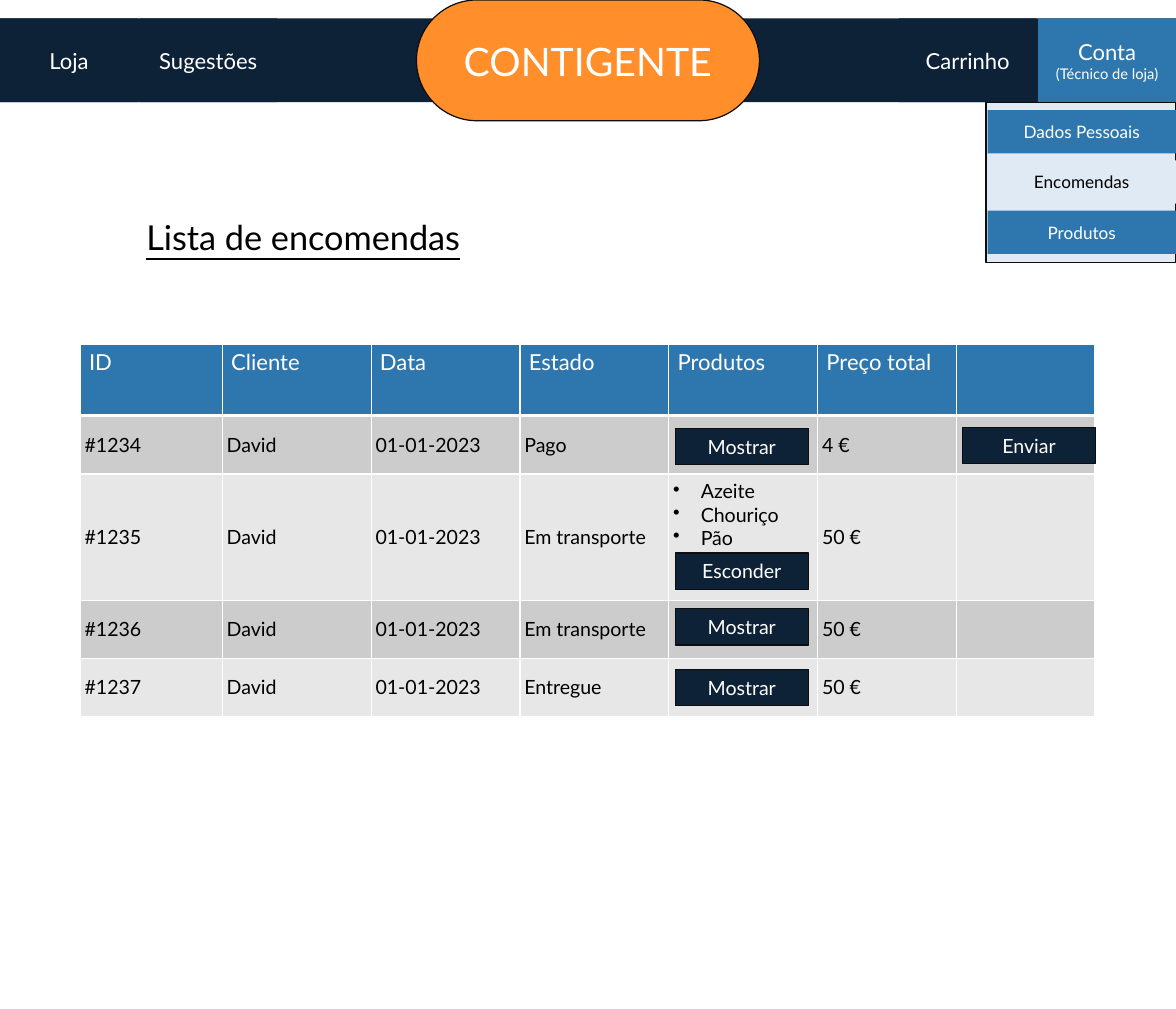
from lxml import etree
from pptx import Presentation
from pptx.dml.color import RGBColor
from pptx.enum.shapes import MSO_SHAPE
from pptx.enum.text import MSO_ANCHOR, PP_ALIGN
from pptx.oxml.ns import qn
from pptx.util import Pt

RECT, ROUNDED = MSO_SHAPE.RECTANGLE, MSO_SHAPE.ROUNDED_RECTANGLE
TOP, MIDDLE = MSO_ANCHOR.TOP, MSO_ANCHOR.MIDDLE
LEFT, CENTER, JUSTIFY = PP_ALIGN.LEFT, PP_ALIGN.CENTER, PP_ALIGN.JUSTIFY

FONT = "Lato"
COLORS = {
    "navy": "0D2137", "blue": "2E77AE", "orange": "FF8E2B", "pale": "E0EAF5",
    "outline": "0D0D0D", "white": "FFFFFF", "black": "000000",
    "band_dark": "CCCCCC", "band_light": "E7E7E7",
}
SLIDE_W, SLIDE_H = 960, 823.7

HEADERS = ["ID", "Cliente", "Data", "Estado", "Produtos", "Preço total", ""]
COLUMN_WIDTHS = [116, 121.5, 121.5, 121.5, 121.5, 113, 113]
PRODUCTS, ACTIONS = 4, 6
HEADER_H = 58.5
# Row height, cell texts, {column: (button label, offset from row top)}
ORDERS = [
    (47.5, ["#1234", "David", "01-01-2023", "Pago", "", "4 €", ""],
     {PRODUCTS: ("Mostrar", 10.5), ACTIONS: ("Enviar", 9.5)}),
    (103, ["#1235", "David", "01-01-2023", "Em transporte",
           ["Azeite", "Chouriço", "Pão"], "50 €", ""],
     {PRODUCTS: ("Esconder", 64.5)}),
    (47.5, ["#1236", "David", "01-01-2023", "Em transporte", "", "50 €", ""],
     {PRODUCTS: ("Mostrar", 7)}),
    (47.5, ["#1237", "David", "01-01-2023", "Entregue", "", "50 €", ""],
     {PRODUCTS: ("Mostrar", 9)}),
]


def rgb(name):
    return RGBColor.from_string(COLORS[name])


def write(frame, text, size=18, color="white", align=CENTER, anchor=MIDDLE,
          underline=False, bullet=False, note_size=None):
    """Write a string or a list of lines; note_size applies after the first."""
    frame.word_wrap = True
    frame.vertical_anchor = anchor
    for i, line in enumerate([text] if isinstance(text, str) else text):
        paragraph = frame.add_paragraph() if i else frame.paragraphs[0]
        paragraph.alignment = align
        if bullet:
            props = paragraph._p.get_or_add_pPr()
            props.set("marL", str(Pt(22.5)))
            props.set("indent", str(-Pt(22.5)))
            etree.SubElement(props, qn("a:buChar")).set("char", "•")
        run = paragraph.add_run()
        run.text = line
        font = run.font
        font.name, font.bold, font.underline = FONT, False, underline
        font.size = Pt(note_size if i and note_size else size)
        font.color.rgb = rgb(color)


def add_block(slide, x, y, w, h, fill, text="", outline=None, kind=RECT, **style):
    block = slide.shapes.add_shape(kind, Pt(x), Pt(y), Pt(w), Pt(h))
    block.shadow.inherit = False
    block.fill.solid()
    block.fill.fore_color.rgb = rgb(fill)
    if outline:
        block.line.color.rgb = rgb(outline)
        block.line.width = Pt(1)
    else:
        block.line.fill.background()
    if text:
        write(block.text_frame, text, **style)
    return block


def add_navigation(slide, x, y, w, h):
    add_block(slide, x, y, w, h, "navy")
    # Store name, standing out above and below the bar
    name = add_block(slide, x + (w - 280) / 2, y - 15, 280, 98.6, "orange",
                     "CONTIGENTE", "outline", ROUNDED, size=32)
    name.adjustments[0] = 0.5
    # Two tabs at each end
    tab_w, step = 112.5, 113.75
    last = x + w - tab_w
    add_block(slide, last, y, tab_w, h, "blue",
              ["Conta", "(Técnico de loja)"], note_size=12)
    for left, label in [(last - step, "Carrinho"), (x, "Loja"), (x + step, "Sugestões")]:
        add_block(slide, left, y, tab_w, h, "navy", label)


def add_account_menu(slide, x, y, w, h):
    add_block(slide, x, y, w, h, "pale", outline="outline")
    entries = [("Dados Pessoais", "blue", "white"), ("Encomendas", "pale", "black"),
               ("Produtos", "blue", "white")]
    for i, (label, fill, color) in enumerate(entries):
        add_block(slide, x + 1.2, y + 6.5 + 41 * i, w - 1.2, 35.3, fill, label,
                  size=14, color=color)


def add_heading(slide, x, y, w, h):
    heading = slide.shapes.add_textbox(Pt(x), Pt(y), Pt(w), Pt(h))
    write(heading.text_frame, "Lista de encomendas", size=28, color="black",
          align=JUSTIFY, anchor=TOP, underline=True)


def style_cell(cell, fill, top=1, bottom=1):
    props = cell._tc.get_or_add_tcPr()
    for side, width in [("L", 1), ("R", 1), ("T", top), ("B", bottom)]:
        line = etree.SubElement(props, qn(f"a:ln{side}"), w=str(Pt(width)))
        paint = etree.SubElement(line, qn("a:solidFill"))
        etree.SubElement(paint, qn("a:srgbClr"), val=COLORS["white"])
    cell.fill.solid()
    cell.fill.fore_color.rgb = rgb(fill)


def add_orders(slide, x, y):
    heights = [HEADER_H] + [order[0] for order in ORDERS]
    table = slide.shapes.add_table(
        len(heights), len(HEADERS), Pt(x), Pt(y),
        Pt(sum(COLUMN_WIDTHS)), Pt(sum(heights))).table
    for column, width in zip(table.columns, COLUMN_WIDTHS):
        column.width = Pt(width)
    for row, height in zip(table.rows, heights):
        row.height = Pt(height)

    for c, header in enumerate(HEADERS):
        cell = table.cell(0, c)
        style_cell(cell, "blue", bottom=3)
        if header:
            write(cell.text_frame, header, align=LEFT, anchor=TOP)

    row_top = y + HEADER_H
    for r, (height, texts, buttons) in enumerate(ORDERS, 1):
        for c, text in enumerate(texts):
            cell = table.cell(r, c)
            style_cell(cell, "band_dark" if r % 2 else "band_light",
                       top=3 if r == 1 else 1)
            cell.margin_left = cell.margin_right = Pt(3.6)
            cell.margin_top = cell.margin_bottom = Pt(3.6)
            cell.vertical_anchor = MIDDLE
            if text:
                listed = isinstance(text, list)
                if listed:  # room for the button below the products
                    cell.margin_bottom = Pt(40)
                write(cell.text_frame, text, size=16, color="black",
                      align=LEFT, bullet=listed)
                cell.vertical_anchor = MIDDLE
        for c, (label, offset) in buttons.items():
            add_block(slide, x + sum(COLUMN_WIDTHS[:c]) + 5.2, row_top + offset,
                      108.7, 29.5, "navy", label, "outline", size=16)
        row_top += height


def main():
    deck = Presentation()
    deck.slide_width, deck.slide_height = Pt(SLIDE_W), Pt(SLIDE_H)
    slide = deck.slides.add_slide(deck.slide_layouts[6])
    add_heading(slide, 112.3, 172.8, 300, 41)
    add_orders(slide, 65.5, 281)
    add_navigation(slide, 0, 15, SLIDE_W, 68.4)
    add_account_menu(slide, 805, 83.5, SLIDE_W - 805, 131)
    deck.save("out.pptx")


if __name__ == "__main__":
    main()
